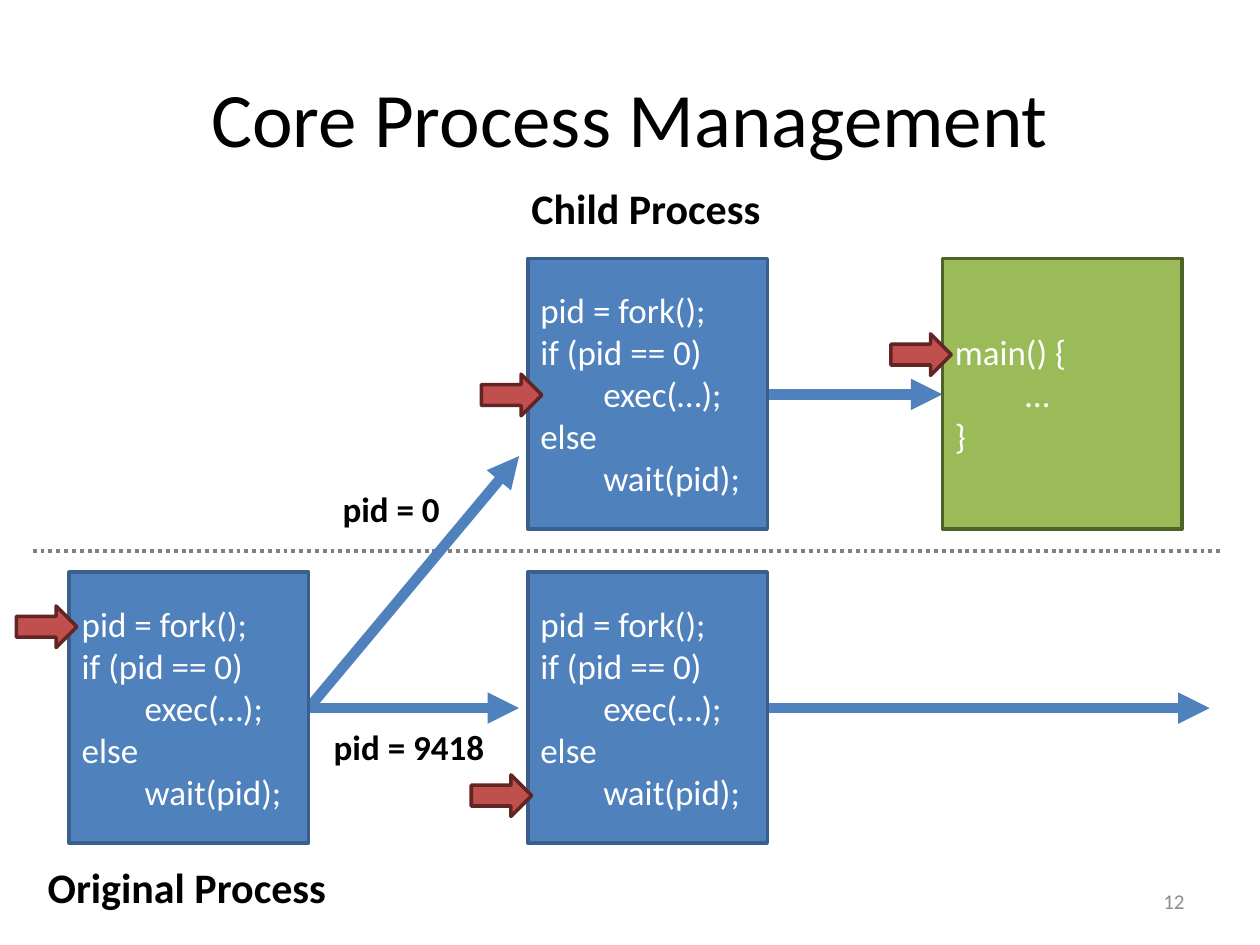
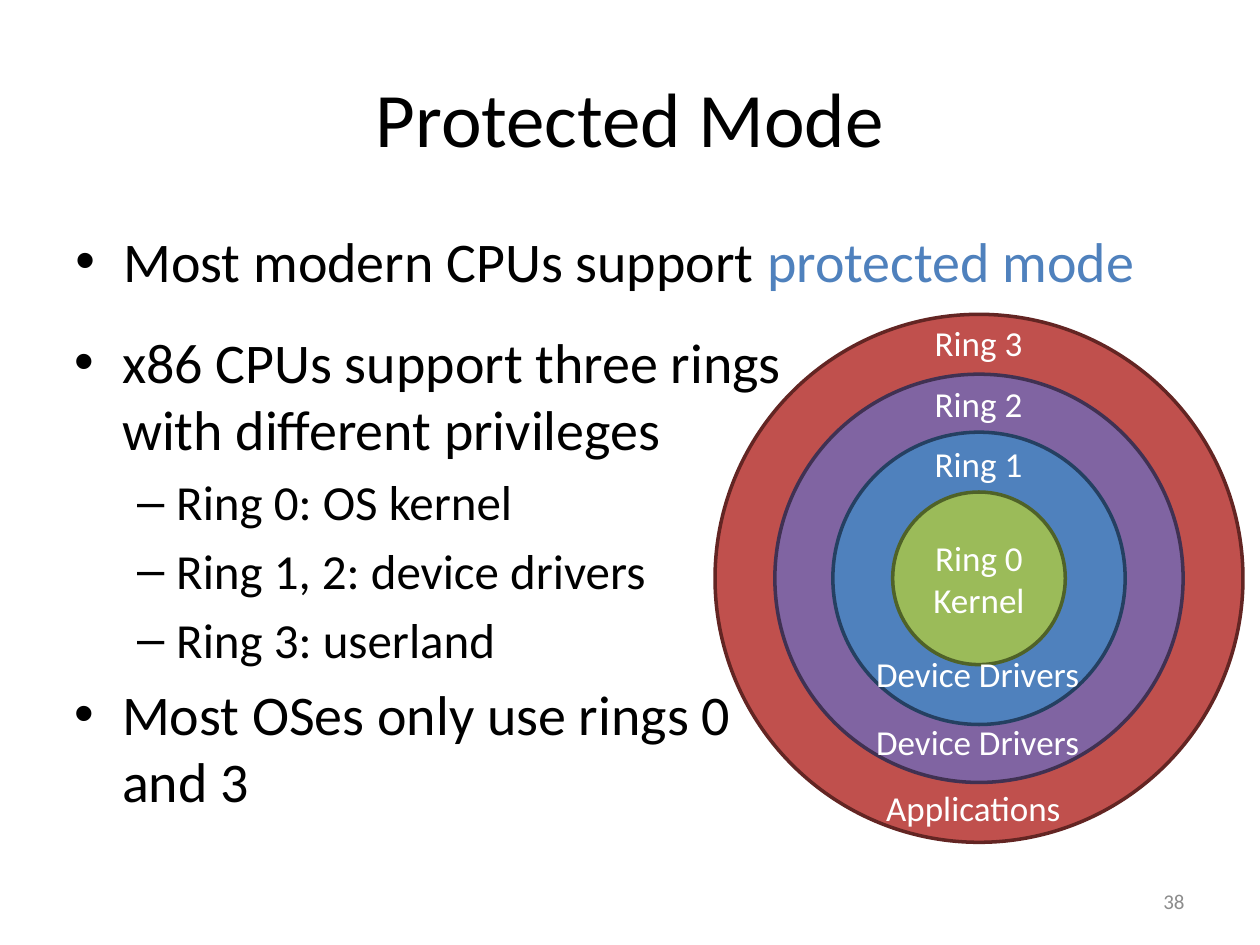
import pptx
import pptx.dml.color
import pptx.enum.dml
import pptx.enum.shapes
import pptx.enum.text
import pptx.oxml.ns
import pptx.util
from lxml import etree

Inches = pptx.util.Inches
Pt = pptx.util.Pt
Shape = pptx.enum.shapes.MSO_SHAPE
Align = pptx.enum.text.PP_ALIGN
Anchor = pptx.enum.text.MSO_ANCHOR
AutoSize = pptx.enum.text.MSO_AUTO_SIZE
qn = pptx.oxml.ns.qn

FONT = "Calibri"
BLACK, WHITE, GRAY, NUMBER_GRAY = "000000", "FFFFFF", "808080", "8C8C8C"
BLUE, GREEN, RED, PURPLE = "4F81BD", "9BBB59", "C0504D", "8064A2"
BOX_BLUE_EDGE, RING_BLUE_EDGE = "3A5F8C", "254061"
GREEN_EDGE, RED_EDGE, PURPLE_EDGE = "4F6228", "632523", "403152"

BOX_WIDTH, BOX_HEIGHT = 1.9, 2.15
CHILD_TOP, PARENT_TOP = 2.05, 4.54
START_LEFT, FORKED_LEFT, MAIN_LEFT = 0.55, 4.19, 7.48
LABEL_HEIGHT = 0.44
RING_CENTER_X, RING_CENTER_Y = 7.77, 4.59

# Each code line is its text and its indent in inches.
FORK_CODE = [("pid = fork();", 0), ("if (pid == 0)", 0), ("exec(…);", 0.5),
             ("else", 0), ("wait(pid);", 0.5)]
MAIN_CODE = [("main() {", 0), ("…", 0.56), ("}", 0)]


def color(hex_string):
    """Turn a hex string into a colour."""
    return pptx.dml.color.RGBColor.from_string(hex_string)


def add_run(paragraph, text, size, hex_string=BLACK, bold=False):
    """Append one formatted run to a paragraph."""
    run = paragraph.add_run()
    run.text = text
    run.font.name = FONT
    run.font.size = Pt(size)
    run.font.bold = bold
    run.font.color.rgb = color(hex_string)


def next_paragraph(frame, index):
    """Return the first paragraph of a frame, or a new one after it."""
    return frame.add_paragraph() if index else frame.paragraphs[0]


def set_indent(paragraph, left, first=0):
    """Set the left margin and first-line indent in inches."""
    properties = paragraph._p.get_or_add_pPr()
    properties.set("marL", str(Inches(left)))
    properties.set("indent", str(Inches(first)))


def add_slide(presentation, title, number):
    """Add a slide with its title and slide number."""
    slide = presentation.slides.add_slide(presentation.slide_layouts[5])
    placeholder = slide.shapes.title
    placeholder.left, placeholder.top = Inches(0.5), Inches(0.3)
    placeholder.width, placeholder.height = Inches(9), Inches(1.25)
    placeholder.text_frame.vertical_anchor = Anchor.MIDDLE
    paragraph = placeholder.text_frame.paragraphs[0]
    paragraph.alignment = Align.CENTER
    add_run(paragraph, title, 44)

    frame = add_text_frame(slide, 7.17, 6.95, 2.33, 0.4)
    frame.vertical_anchor = Anchor.MIDDLE
    frame.paragraphs[0].alignment = Align.RIGHT
    add_run(frame.paragraphs[0], str(number), 12, NUMBER_GRAY)
    return slide


def add_text_frame(slide, left, top, width, height):
    """Add a wrapping text box and return its text frame."""
    box = slide.shapes.add_textbox(Inches(left), Inches(top),
                                   Inches(width), Inches(height))
    box.text_frame.word_wrap = True
    return box.text_frame


def add_label(slide, text, left, top, width, height=LABEL_HEIGHT,
              size=20, hex_string=BLACK, bold=True):
    """Add a one-line label whose box fits its text."""
    frame = add_text_frame(slide, left, top, width, height)
    frame.word_wrap = False
    frame.auto_size = AutoSize.SHAPE_TO_FIT_TEXT
    add_run(frame.paragraphs[0], text, size, hex_string, bold)


def add_filled_shape(slide, kind, left, top, width, height, fill, edge):
    """Add a preset shape with a solid fill and a 2 pt outline."""
    shape = slide.shapes.add_shape(kind, Inches(left), Inches(top),
                                   Inches(width), Inches(height))
    shape.shadow.inherit = False
    shape.fill.solid()
    shape.fill.fore_color.rgb = color(fill)
    shape.line.color.rgb = color(edge)
    shape.line.width = Pt(2)
    return shape


def write_lines(shape, lines, alignment=Align.LEFT):
    """Write white lines, each with its indent, in the middle of a shape."""
    frame = shape.text_frame
    frame.word_wrap = True
    frame.vertical_anchor = Anchor.MIDDLE
    for index, (text, indent) in enumerate(lines):
        paragraph = next_paragraph(frame, index)
        paragraph.alignment = alignment
        set_indent(paragraph, indent)
        add_run(paragraph, text, 20, WHITE)


def add_code_box(slide, left, top, code, fill=BLUE, edge=BOX_BLUE_EDGE):
    """Add a process box that holds code."""
    box = add_filled_shape(slide, Shape.RECTANGLE, left, top,
                           BOX_WIDTH, BOX_HEIGHT, fill, edge)
    write_lines(box, code)


def add_line(slide, start, end, hex_string, width):
    """Add a straight connector without a shadow."""
    connector = slide.shapes.add_connector(
        pptx.enum.shapes.MSO_CONNECTOR.STRAIGHT,
        *(Inches(value) for value in start + end))
    connector.line.color.rgb = color(hex_string)
    connector.line.width = Pt(width)
    etree.SubElement(connector.element.spPr, qn("a:effectLst"))
    return connector


def add_flow_arrow(slide, start, end):
    """Add a thick blue arrow that shows the flow of control."""
    connector = add_line(slide, start, end, BLUE, 6)
    outline = connector.element.spPr.find(qn("a:ln"))
    etree.SubElement(outline, qn("a:tailEnd"), type="triangle")


def add_bullet(frame, index, runs, level=0):
    """Add a bullet from (text, colour) runs at level 0 or 1."""
    size, left, first, mark = [(32, 0.38, -0.38, "•"),
                               (28, 0.81, -0.31, "–")][level]
    paragraph = next_paragraph(frame, index)
    paragraph.level = level
    paragraph.space_before = Pt(0.2 * size)
    set_indent(paragraph, left, first)
    properties = paragraph._p.get_or_add_pPr()
    etree.SubElement(properties, qn("a:buFont"), typeface="Arial")
    etree.SubElement(properties, qn("a:buChar"), char=mark)
    for text, hex_string in runs:
        add_run(paragraph, text, size, hex_string)


def build_process_slide(presentation):
    """Build the fork and exec diagram."""
    slide = add_slide(presentation, "Core Process Management", 12)
    child_y, parent_y = 3.13, 5.62
    start_right = START_LEFT + BOX_WIDTH
    forked_right = FORKED_LEFT + BOX_WIDTH

    add_flow_arrow(slide, (forked_right, parent_y), (9.6, parent_y))
    divider = add_line(slide, (0.26, 4.37), (9.71, 4.37), GRAY, 2.25)
    divider.line.dash_style = pptx.enum.dml.MSO_LINE.ROUND_DOT
    for end_y in (3.62, parent_y):
        add_flow_arrow(slide, (start_right, parent_y), (4.12, end_y))
    add_flow_arrow(slide, (forked_right, child_y), (MAIN_LEFT, child_y))

    for left, top in [(START_LEFT, PARENT_TOP), (FORKED_LEFT, CHILD_TOP),
                      (FORKED_LEFT, PARENT_TOP)]:
        add_code_box(slide, left, top, FORK_CODE)
    add_code_box(slide, MAIN_LEFT, CHILD_TOP, MAIN_CODE, GREEN, GREEN_EDGE)

    for left, top in [(0.13, 4.81), (3.82, 2.97), (3.74, 6.15), (7.07, 2.65)]:
        add_filled_shape(slide, Shape.RIGHT_ARROW, left, top, 0.48, 0.33,
                         RED, RED_EDGE)

    add_label(slide, "pid = 0", 2.62, 3.82, 0.98)
    add_label(slide, "pid = 9418", 2.55, 5.71, 1.41)
    add_label(slide, "Original Process", 0.28, 6.79, 2.43, 0.5, 24)
    add_label(slide, "Child Process", 4.12, 1.4, 2.04, 0.5, 24)


def add_rings(slide):
    """Add the concentric privilege rings and their labels."""
    rings = [(4.19, RED, RED_EDGE), (3.24, PURPLE, PURPLE_EDGE),
             (2.32, BLUE, RING_BLUE_EDGE), (1.37, GREEN, GREEN_EDGE)]
    for diameter, fill, edge in rings:
        ring = add_filled_shape(slide, Shape.OVAL,
                                RING_CENTER_X - diameter / 2,
                                RING_CENTER_Y - diameter / 2,
                                diameter, diameter, fill, edge)
    write_lines(ring, [("Ring 0", 0), ("Kernel", 0)], Align.CENTER)

    labels = [("Ring 1", 3.46, 0.9), ("Ring 2", 2.99, 0.9),
              ("Ring 3", 2.5, 0.9), ("Device Drivers", 5.13, 1.83),
              ("Device Drivers", 5.67, 1.83), ("Applications", 6.19, 1.67)]
    for text, top, width in labels:
        add_label(slide, text, RING_CENTER_X - width / 2, top, width,
                  hex_string=WHITE, bold=False)


def build_protected_mode_slide(presentation):
    """Build the protected mode slide with bullets and rings."""
    slide = add_slide(presentation, "Protected Mode", 38)
    intro = add_text_frame(slide, 0.5, 1.75, 9, 0.76)
    add_bullet(intro, 0, [("Most modern CPUs support ", BLACK),
                          ("protected mode", BLUE)])
    add_rings(slide)

    details = add_text_frame(slide, 0.49, 2.55, 6.09, 4.95)
    bullets = [("x86 CPUs support three rings with different privileges", 0),
               ("Ring 0: OS kernel", 1),
               ("Ring 1, 2: device drivers", 1),
               ("Ring 3: userland", 1),
               ("Most OSes only use rings 0 and 3", 0)]
    for index, (text, level) in enumerate(bullets):
        add_bullet(details, index, [(text, BLACK)], level)


def main():
    """Build and save the presentation."""
    presentation = pptx.Presentation()
    presentation.slide_width = Inches(10)
    presentation.slide_height = Inches(7.5)
    build_process_slide(presentation)
    build_protected_mode_slide(presentation)
    presentation.save("out.pptx")


main()
